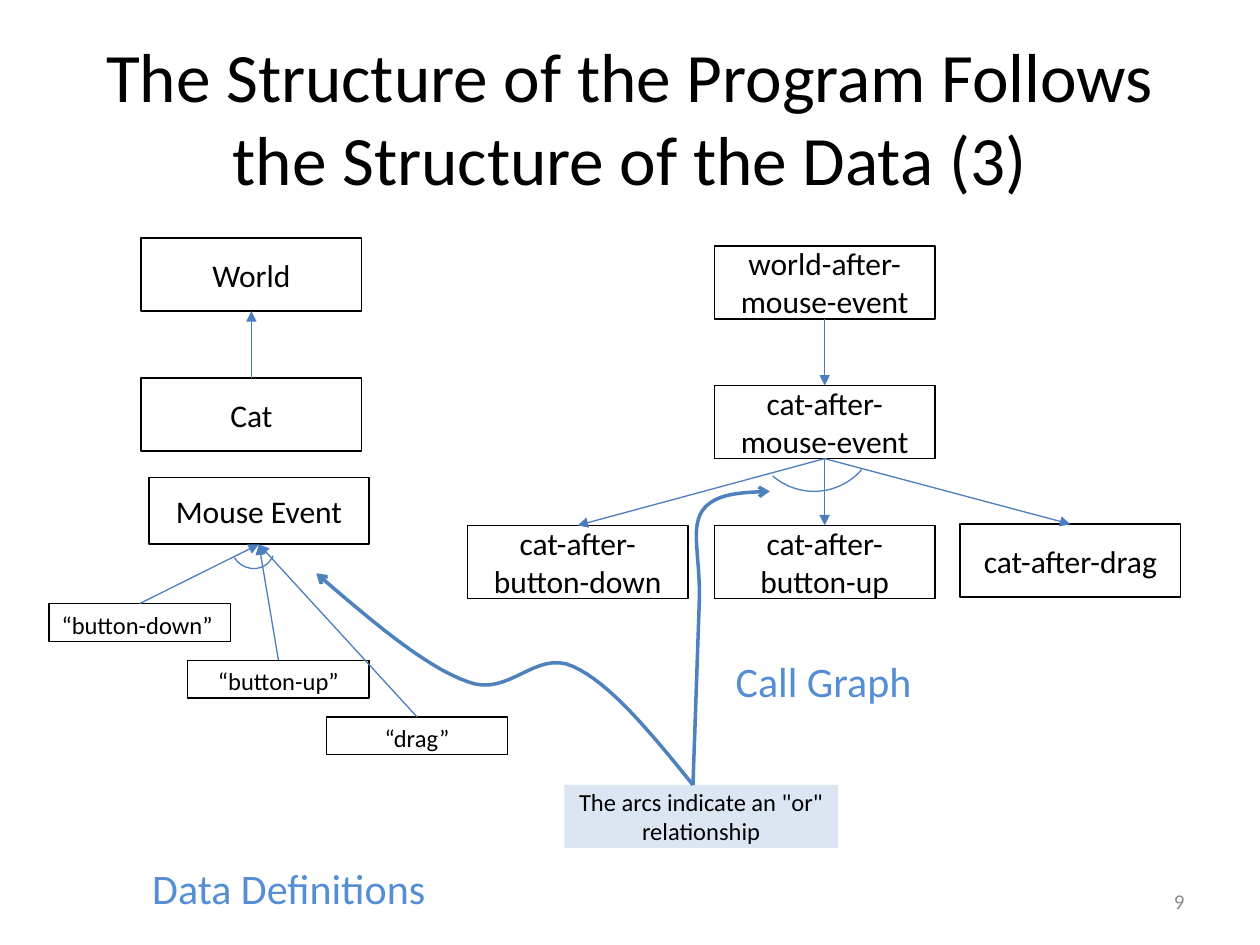
from lxml import etree
from pptx import Presentation, util as u
from pptx.dml.color import RGBColor
from pptx.enum import shapes, text
from pptx.oxml.ns import qn

THEME = {
    "font": "Calibri",
    "ink": "000000", "label": "558ED5", "muted": "8C8C8C",
    "link": "4B7EBC", "pointer": "4F81BD", "note": "DCE6F2",
    "title_size": 39.6, "label_size": 24, "box_size": 18,
    "small_size": 14, "number_size": 12,
}
LEFT, CENTER, RIGHT = text.PP_ALIGN.LEFT, text.PP_ALIGN.CENTER, text.PP_ALIGN.RIGHT
TOP, MIDDLE = text.MSO_ANCHOR.TOP, text.MSO_ANCHOR.MIDDLE

# text, place, size, colour, alignment, anchor, wrap
TEXTS = [
    ("The Structure of the Program Follows the Structure of the Data (3)",
     (0.5, 0.3, 9, 1.25), "title_size", "ink", CENTER, MIDDLE, True),
    ("9", (7.17, 6.95, 2.33, 0.4), "number_size", "muted", RIGHT, MIDDLE, True),
    ("Call Graph", (5.74, 5.15, 1.61, 0.5), "label_size", "label", LEFT, TOP, False),
    ("Data Definitions", (1.11, 6.8, 2.39, 0.5), "label_size", "label", LEFT, TOP, False),
]

# text: left, top, height
BOX_WIDTH = 1.75
BOXES = {
    "World": (1.12, 1.89, 0.58),
    "Cat": (1.12, 3, 0.58),
    "Mouse Event": (1.18, 3.79, 0.53),
    "world-after-mouse-event": (5.67, 1.95, 0.58),
    "cat-after-mouse-event": (5.67, 3.06, 0.58),
    "cat-after-button-down": (3.71, 4.17, 0.58),
    "cat-after-button-up": (5.67, 4.17, 0.58),
    "cat-after-drag": (7.62, 4.16, 0.58),
}
EVENTS = [("“button-down”", LEFT), ("“button-up”", CENTER), ("“drag”", CENTER)]
EVENT_START, EVENT_STEP, EVENT_SIZE = (0.39, 4.79), (1.1, 0.45), (1.44, 0.3)

# Data arrows point up to the whole, call arrows down to the callee.
DATA_LINKS = [("Cat", "World")] + [(event, "Mouse Event") for event, _ in EVENTS]
CALL_LINKS = [("world-after-mouse-event", "cat-after-mouse-event")] + [
    ("cat-after-mouse-event", "cat-after-" + event)
    for event in ("button-down", "button-up", "drag")]
TOP_SITE, BOTTOM_SITE = 0, 2

# place, rotation, adjustments
ARCS = [
    ((1.84, 4.17, 0.33, 0.35), 127.6, (152.94, 13.78)),
    ((5.96, 2.9, 1, 1), 130.9, (162, 0)),
]

NOTE = ('The arcs indicate an "or" relationship', (4.48, 6.23, 2.17, 0.5))
# Each curve is a list of Bezier pieces: two controls and an end.
START = (5.5, 6.23)
CURVES = [
    [((5.17, 5.82), (4.84, 5.42), (4.55, 5.29)),
     ((4.25, 5.15), (4.04, 5.54), (3.71, 5.41)),
     ((3.37, 5.29), (2.94, 4.92), (2.51, 4.55))],
    [(START, (5.55, 4.78), (5.55, 4.78)),
     ((5.56, 4.42), (5.48, 4.21), (5.57, 4.06)),
     ((5.67, 3.91), (5.89, 3.91), (6.11, 3.9))],
]
CURVE_STEPS = 16


def set_values(target, **values):
    for name, value in values.items():
        setattr(target, name, value)


def color(name):
    return RGBColor.from_string(THEME[name])


def inches(place):
    return [u.Inches(value) for value in place]


def write(shape, words, size, ink="ink", align=CENTER, anchor=MIDDLE, wrap=True):
    frame = shape.text_frame
    set_values(frame, word_wrap=wrap, vertical_anchor=anchor,
               auto_size=text.MSO_AUTO_SIZE.NONE)
    para = frame.paragraphs[0]
    para.alignment = align
    span = para.add_run()
    span.text = words
    set_values(span.font, name=THEME["font"], size=u.Pt(THEME[size]))
    span.font.color.rgb = color(ink)


def draw_line(shape, ink, width, head=None):
    """Style an outline, with an optional arrowhead at its end."""
    shape.line.color.rgb = color(ink)
    shape.line.width = u.Pt(width)
    if head:
        outline = shape.line._get_or_add_ln()
        etree.SubElement(outline, qn("a:tailEnd"), type=head)


def add_box(page, words, place, size="box_size", width=1, **layout):
    box = page.shapes.add_shape(shapes.MSO_SHAPE.RECTANGLE, *inches(place))
    box.shadow.inherit = False
    box.fill.background()
    draw_line(box, "ink", width)
    write(box, words, size, **layout)
    return box


def add_link(page, source, source_site, target, target_site):
    link = page.shapes.add_connector(shapes.MSO_CONNECTOR.STRAIGHT, 0, 0, 0, 0)
    link.begin_connect(source, source_site)
    link.end_connect(target, target_site)
    draw_line(link, "link", 0.75, "triangle")
    etree.SubElement(link._element.spPr, qn("a:effectLst"))


def curve_points(start, pieces):
    """List points along joined cubic Bezier pieces, after the start."""
    points = []
    for first, second, end in pieces:
        corners = (start, first, second, end)
        for step in range(1, CURVE_STEPS + 1):
            t = step / CURVE_STEPS
            weights = ((1 - t) ** 3, 3 * t * (1 - t) ** 2, 3 * t * t * (1 - t), t ** 3)
            points.append([sum(w * corner[axis] for w, corner in zip(weights, corners))
                           for axis in (0, 1)])
        start = end
    return points


def add_pointer(page, pieces):
    """Draw a curve in EMU, since the builder rounds to whole units."""
    builder = page.shapes.build_freeform(*inches(START))
    points = [inches(point) for point in curve_points(START, pieces)]
    builder.add_line_segments(points, close=False)
    pointer = builder.convert_to_shape()
    pointer.shadow.inherit = False
    pointer.fill.background()
    draw_line(pointer, "pointer", 2, "arrow")


def main():
    deck = Presentation()
    set_values(deck, slide_width=u.Inches(10), slide_height=u.Inches(7.5))
    page = deck.slides.add_slide(deck.slide_layouts[6])

    for words, place, *style in TEXTS:
        write(page.shapes.add_textbox(*inches(place)), words, *style)

    boxes = {words: add_box(page, words, (left, top, BOX_WIDTH, height))
             for words, (left, top, height) in BOXES.items()}
    for index, (words, align) in enumerate(EVENTS):
        corner = [start + index * step for start, step in zip(EVENT_START, EVENT_STEP)]
        boxes[words] = add_box(page, words, (*corner, *EVENT_SIZE), "small_size",
                               0.75, align=align, anchor=TOP)

    for source, target in DATA_LINKS:
        add_link(page, boxes[source], TOP_SITE, boxes[target], BOTTOM_SITE)
    for source, target in CALL_LINKS:
        add_link(page, boxes[source], BOTTOM_SITE, boxes[target], TOP_SITE)

    for place, rotation, angles in ARCS:
        arc = page.shapes.add_shape(shapes.MSO_SHAPE.ARC, *inches(place))
        arc.shadow.inherit = False
        arc.rotation = rotation
        for index, angle in enumerate(angles):
            arc.adjustments[index] = angle
        arc.fill.background()
        draw_line(arc, "link", 0.75)

    words, place = NOTE
    note = add_box(page, words, place, "small_size")
    note.fill.solid()
    note.fill.fore_color.rgb = color("note")
    note.line.fill.background()
    for pieces in CURVES:
        add_pointer(page, pieces)

    deck.save("out.pptx")


if __name__ == "__main__":
    main()
